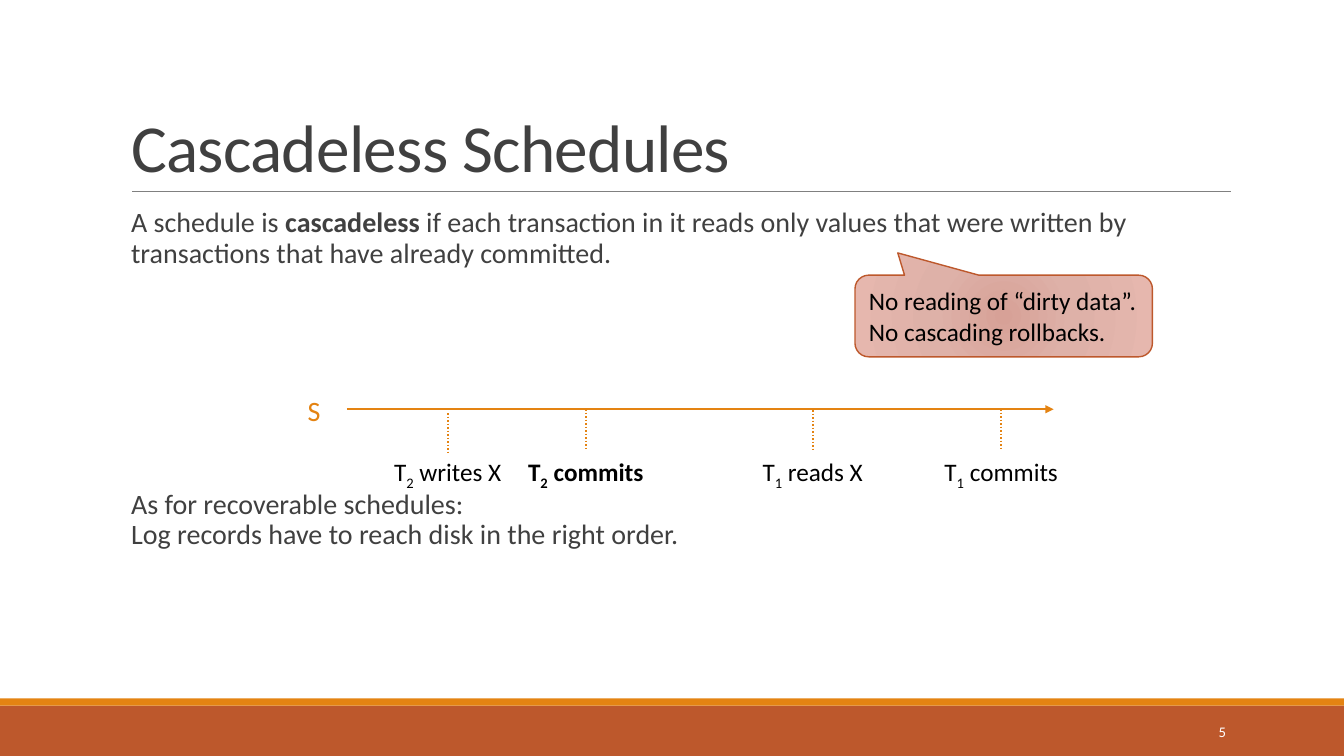
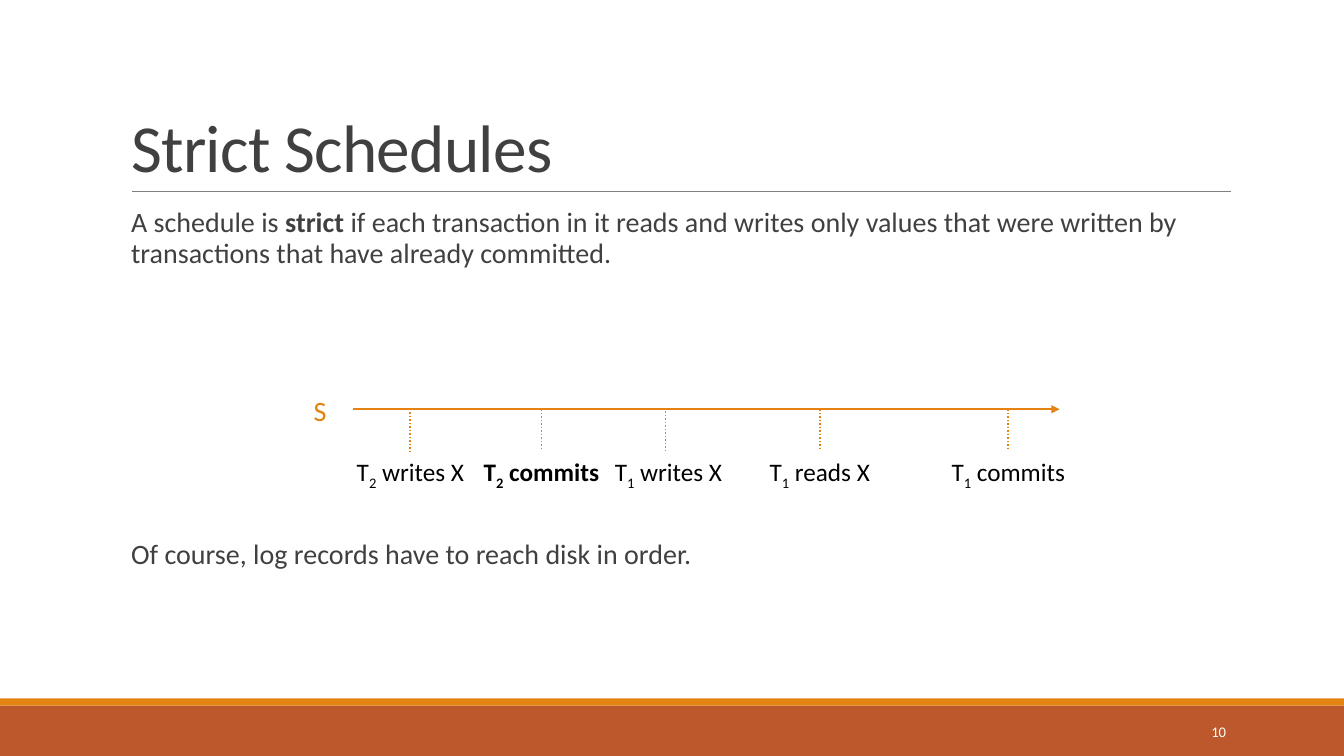
from dataclasses import dataclass

from lxml import etree
from pptx import Presentation
from pptx.dml.color import RGBColor
from pptx.enum import dml, shapes, text
from pptx.oxml import parse_xml
from pptx.oxml.ns import nsdecls, qn
from pptx.util import Inches, Pt


@dataclass(frozen=True)
class Theme:
    font: str = "Calibri"
    ink: str = "404040"
    black: str = "000000"
    white: str = "FFFFFF"
    rust: str = "BD582C"
    orange: str = "E48312"
    rule: str = "808080"
    callout: tuple = ((0, "D7A197"), (45, "DEB1A8"), (100, "E6B7AE"))
    title_size: float = 48
    body_size: float = 20
    label_size: float = 18
    number_size: float = 10.5


T = Theme()

# Event: tick x, tick top, transaction, action, bold, label shift from the tick
SLIDES = [
    {
        "title": "Cascadeless Schedules",
        "number": 5,
        "body": [
            [("A schedule is ", ""), ("cascadeless", "b"),
             (" if each transaction in it reads only values that were written by "
              "transactions that have already committed.", "")],
            [("As for recoverable schedules:\n"
              "Log records have to reach disk in the right order.", "")],
        ],
        "space_between": 156,
        "axis": (3.44, 4.06),
        "events": [
            (4.44, 4.1, "2", "writes X", False, 0),
            (5.81, 4.06, "2", "commits", True, 0),
            (8.06, 4.07, "1", "reads X", False, 0),
            (9.93, 4.06, "1", "commits", False, 0),
        ],
        "callout": "No reading of “dirty data”.\nNo cascading rollbacks.",
    },
    {
        "title": "Strict Schedules",
        "number": 10,
        "body": [
            [("A schedule is", ""), (" strict ", "b"),
             ("if each transaction in it reads and writes only values that were "
              "written by transactions that have already committed.", "")],
            [("Of course, log records have to reach disk in order.", "")],
        ],
        "space_between": 192,
        "axis": (3.5, 4.06),
        "events": [
            (4.07, 4.09, "2", "writes X", False, 0),
            (5.37, 4.06, "2", "commits", True, 0),
            (6.6, 4.08, "1", "writes X", False, 0.03),
            (8.13, 4.06, "1", "reads X", False, 0),
            (10, 4.06, "1", "commits", False, 0),
        ],
    },
]

AXIS_LENGTH = 7.01
TICK_LENGTH = 0.4
LABEL_TOP = 4.48
LABEL_WIDTHS = {"writes X": 1.29, "commits": 1.39, "reads X": 1.22}


def box(*lengths):
    return [Inches(n) for n in lengths]


def rgb(color):
    return RGBColor.from_string(color)


def add_runs(p, parts, size, color):
    """Add (text, style) parts; style b is bold, s subscript, \\n breaks the line."""
    for words, style in parts:
        for i, line in enumerate(words.split("\n")):
            if i:
                p.add_line_break()
            r = p.add_run()
            r.text = line
            r.font.name, r.font.size = T.font, Pt(size)
            r.font.bold = "b" in style
            r.font.color.rgb = rgb(color)
            if "s" in style:
                r.font._element.set("baseline", "-25000")


def add_line(slide, start, end, color, width, dash=None, arrow=False):
    line = slide.shapes.add_connector(
        shapes.MSO_CONNECTOR.STRAIGHT, *box(*start, *end))
    line.line.color.rgb = rgb(color)
    line.line.width = Pt(width)
    if dash:
        line.line.dash_style = dash
    sp_pr = line.element.spPr
    if arrow:
        etree.SubElement(sp_pr.find(qn("a:ln")), qn("a:tailEnd"), type="triangle")
    etree.SubElement(sp_pr, qn("a:effectLst"))
    return line


def add_label(slide, at, parts, size, color, align=text.PP_ALIGN.CENTER):
    tf = slide.shapes.add_textbox(*box(*at)).text_frame
    tf.word_wrap = False
    tf.auto_size = text.MSO_AUTO_SIZE.SHAPE_TO_FIT_TEXT
    p = tf.paragraphs[0]
    p.alignment = align
    add_runs(p, parts, size, color)
    return tf


def add_band(slide, top, height, color):
    sp = slide.shapes.add_shape(
        shapes.MSO_SHAPE.RECTANGLE, *box(0, top, 13.33, height))
    sp.shadow.inherit = False
    sp.fill.solid()
    sp.fill.fore_color.rgb = rgb(color)
    sp.line.fill.background()
    return sp


def set_up_layout(layout, slide):
    """Place the placeholders and move bands and title rule into the layout."""
    title, body = layout.placeholders[0], layout.placeholders[1]
    for holder, at in ((title, (1.2, 0.31, 11, 1.59)), (body, (1.2, 2.02, 11, 4.4))):
        holder.left, holder.top, holder.width, holder.height = box(*at)
    shared = [
        add_band(slide, 7, 0.5, T.rust),
        add_band(slide, 6.93, 0.07, T.orange),
        add_line(slide, (1.31, 1.9), (12.21, 1.9), T.rule, 0.5),
    ]
    for i, sp in enumerate(shared):
        sp.element.xpath(".//p:cNvPr")[0].set("id", str(100 + i))
        layout.shapes.element.insert(2 + i, sp.element)


def fill_title(slide, words):
    tf = slide.shapes.title.text_frame
    tf.word_wrap = True
    tf.auto_size = text.MSO_AUTO_SIZE.NONE
    tf.vertical_anchor = text.MSO_ANCHOR.BOTTOM
    p = tf.paragraphs[0]
    p.alignment = text.PP_ALIGN.LEFT
    p.line_spacing = 0.85
    add_runs(p, [(words, "")], T.title_size, T.ink)
    p.runs[0].font._element.set("spc", "-50")


def fill_body(slide, paragraphs, space_between):
    tf = slide.placeholders[1].text_frame
    tf.word_wrap = True
    tf.auto_size = text.MSO_AUTO_SIZE.NONE
    tf.margin_left = tf.margin_right = 0
    for i, parts in enumerate(paragraphs):
        p = tf.add_paragraph() if i else tf.paragraphs[0]
        p_pr = p._p.get_or_add_pPr()
        p_pr.set("marL", str(Inches(0.1)))
        p_pr.set("indent", "0")
        etree.SubElement(p_pr, qn("a:buNone"))
        p.line_spacing = 0.9
        p.space_before = Pt(space_between if i else 0)
        p.space_after = Pt(2)
        add_runs(p, parts, T.body_size, T.ink)


def add_timeline(slide, axis, events):
    x, y = axis
    add_label(slide, (x - 0.49, y - 0.21, 0.33, 0.44), [("S", "")],
              T.body_size, T.orange)
    add_line(slide, axis, (x + AXIS_LENGTH, y), T.orange, 1.25, arrow=True)
    for tick, top, transaction, action, bold, shift in events:
        add_line(slide, (tick, top), (tick, top + TICK_LENGTH), T.orange, 1.25,
                 dash=dml.MSO_LINE.ROUND_DOT)
        width = LABEL_WIDTHS[action]
        b = "b" if bold else ""
        add_label(slide, (tick + shift - width / 2, LABEL_TOP, width, 0.4),
                  [("T", b), (transaction, b + "s"), (" " + action, b)],
                  T.label_size, T.black)


def add_callout(slide, words):
    sp = slide.shapes.add_shape(
        shapes.MSO_SHAPE.ROUNDED_RECTANGULAR_CALLOUT, *box(8.48, 2.73, 2.95, 0.81))
    sp.shadow.inherit = False
    for i, value in enumerate((-0.356, -0.773, 0.167)):
        sp.adjustments[i] = value
    sp.line.color.rgb = rgb(T.rust)
    sp.line.width = Pt(1)
    stops = "".join(f'<a:gs pos="{pos * 1000}"><a:srgbClr val="{color}"/></a:gs>'
                    for pos, color in T.callout)
    gradient = parse_xml(
        f'<a:gradFill {nsdecls("a")} rotWithShape="1"><a:gsLst>{stops}</a:gsLst>'
        '<a:path path="circle"><a:fillToRect l="100000" t="100000" r="100000" '
        'b="100000"/></a:path></a:gradFill>')
    sp.element.spPr.find(qn("a:prstGeom")).addnext(gradient)
    tf = sp.text_frame
    tf.word_wrap = True
    tf.vertical_anchor = text.MSO_ANCHOR.MIDDLE
    p = tf.paragraphs[0]
    p.alignment = text.PP_ALIGN.LEFT
    add_runs(p, [(words, "")], T.label_size, T.black)


def add_number(slide, number):
    tf = add_label(slide, (10.83, 7.06, 1.43, 0.4), [(str(number), "")],
                   T.number_size, T.white, text.PP_ALIGN.RIGHT)
    tf.word_wrap = True
    tf.auto_size = text.MSO_AUTO_SIZE.NONE
    tf.vertical_anchor = text.MSO_ANCHOR.MIDDLE


def main():
    prs = Presentation()
    prs.slide_width, prs.slide_height = box(13.33, 7.5)
    layout = prs.slide_layouts[1]
    for i, content in enumerate(SLIDES):
        slide = prs.slides.add_slide(layout)
        if i == 0:
            set_up_layout(layout, slide)
        fill_title(slide, content["title"])
        fill_body(slide, content["body"], content["space_between"])
        add_number(slide, content["number"])
        if "callout" in content:
            add_callout(slide, content["callout"])
        add_timeline(slide, content["axis"], content["events"])
    prs.save("out.pptx")


if __name__ == "__main__":
    main()
